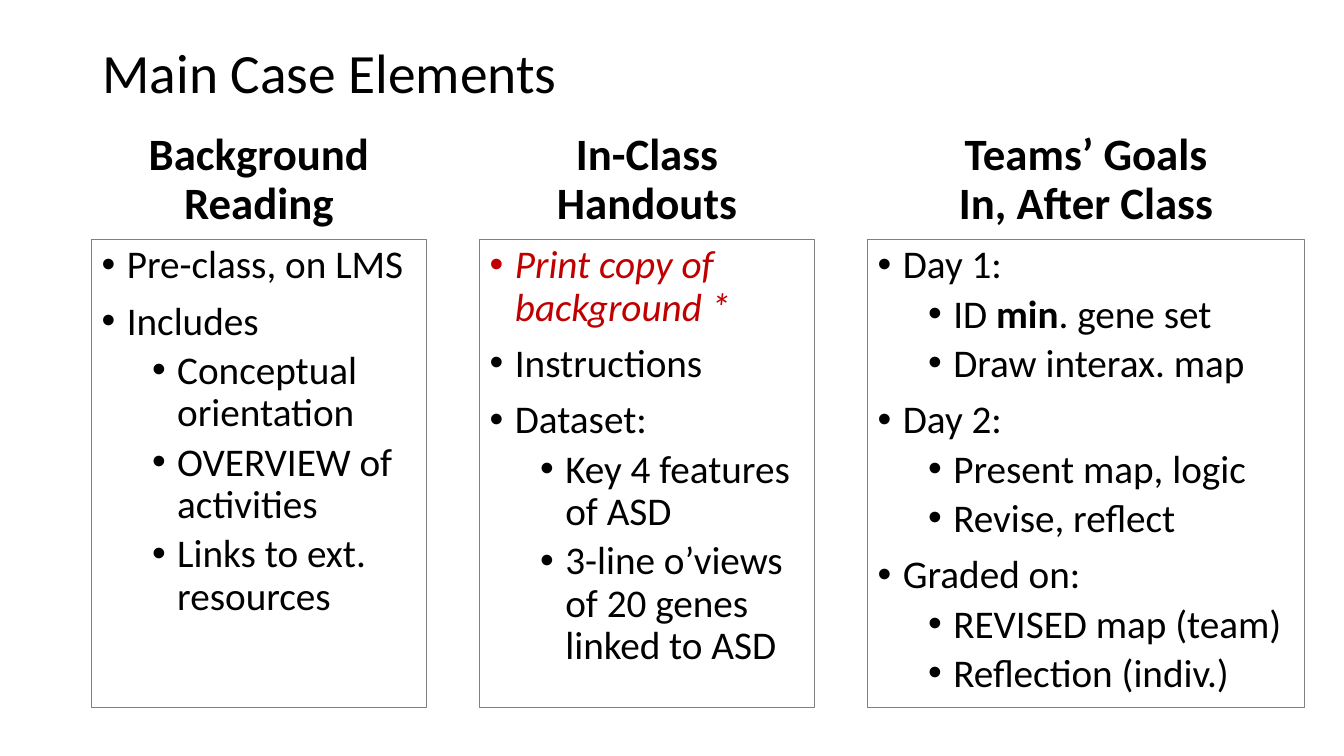
"""Build the slide listing the main elements of a teaching case in three columns."""
from dataclasses import dataclass

from lxml.etree import SubElement
from pptx import Presentation
from pptx.dml.color import RGBColor
from pptx.enum.text import MSO_ANCHOR as Anchor, MSO_AUTO_SIZE as AutoSize, PP_ALIGN as Align
from pptx.oxml.ns import qn
from pptx.util import Pt

BLACK = RGBColor(0x00, 0x00, 0x00)
WHITE = RGBColor(0xFF, 0xFF, 0xFF)
RED = RGBColor(0xC0, 0x00, 0x00)
GRAY = RGBColor(0x80, 0x80, 0x80)

COLUMN_LEFT, COLUMN_PITCH = 65.5, 277.2
HEADING_TOP, HEADING_HEIGHT = 90, 77
LIST_TOP, LIST_HEIGHT = 171.4, 334
INDENT_STEP, BULLET_HANG = 36, 18
SPACE_BEFORE = (10, 5)


@dataclass(frozen=True)
class Span:
    text: str
    bold: bool = False
    italic: bool = False
    color: RGBColor = BLACK


@dataclass(frozen=True)
class Item:
    spans: tuple[Span, ...]
    level: int = 0


@dataclass(frozen=True)
class Column:
    heading: tuple[str, ...]
    width: float
    items: tuple[Item, ...]


def topic(text: str) -> Item:
    return Item((Span(text),))


def detail(text: str) -> Item:
    return Item((Span(text),), 1)


COLUMNS = (
    Column(("Background Reading",), 239, (
        topic("Pre-class, on LMS"),
        topic("Includes"),
        detail("Conceptual orientation"),
        detail("OVERVIEW of activities"),
        detail("Links to ext. resources"),
    )),
    Column(("In-Class", "Handouts"), 239, (
        Item((Span("Print copy of background *", italic=True, color=RED),)),
        topic("Instructions"),
        topic("Dataset:"),
        detail("Key 4 features of ASD"),
        detail("3-line o’views of 20 genes linked to ASD"),
    )),
    Column(("Teams’ Goals", "In, After Class"), 311.8, (
        topic("Day 1:"),
        Item((Span("ID "), Span("min", bold=True), Span(". gene set")), 1),
        detail("Draw interax. map"),
        topic("Day 2:"),
        detail("Present map, logic"),
        detail("Revise, reflect"),
        topic("Graded on:"),
        detail("REVISED map (team)"),
        detail("Reflection (indiv.)"),
    )),
)


def add_span(para, span: Span, size: float) -> None:
    font_format = {"name": "Calibri", "size": Pt(size), "bold": span.bold, "italic": span.italic}
    run = para.add_run()
    run.text = span.text
    for name, value in font_format.items():
        setattr(run.font, name, value)
    run.font.color.rgb = span.color


def format_frame(frame, anchor: Anchor) -> None:
    frame_format = {"word_wrap": True, "auto_size": AutoSize.NONE, "vertical_anchor": anchor}
    for name, value in frame_format.items():
        setattr(frame, name, value)


def add_title(page, text: str) -> None:
    title = page.shapes.title
    place = {"left": Pt(66), "top": Pt(28.8), "width": Pt(828), "height": Pt(49.7)}
    for name, value in place.items():
        setattr(title, name, value)
    title.fill.solid()
    title.fill.fore_color.rgb = WHITE
    format_frame(title.text_frame, Anchor.MIDDLE)
    para = title.text_frame.paragraphs[0]
    para.alignment, para.line_spacing = Align.LEFT, 0.9
    add_span(para, Span(text), 39.6)


def add_box(page, left: float, top: float, width: float, height: float, anchor: Anchor):
    box = page.shapes.add_textbox(Pt(left), Pt(top), Pt(width), Pt(height))
    format_frame(box.text_frame, anchor)
    return box


def add_heading(page, left: float, column: Column) -> None:
    box = add_box(page, left, HEADING_TOP, column.width, HEADING_HEIGHT, Anchor.BOTTOM)
    para = box.text_frame.paragraphs[0]
    para.alignment, para.line_spacing = Align.CENTER, 0.9
    for index, line in enumerate(column.heading):
        if index:
            para.add_line_break()
        add_span(para, Span(line, bold=True), 32)


def add_bullet(para, level: int) -> None:
    properties = para._p.get_or_add_pPr()
    properties.set("marL", str(Pt(BULLET_HANG + INDENT_STEP * level)))
    properties.set("indent", str(-Pt(BULLET_HANG)))
    SubElement(properties, qn("a:buFont"), typeface="Arial")
    SubElement(properties, qn("a:buChar"), char="•")


def add_list(page, left: float, column: Column) -> None:
    box = add_box(page, left, LIST_TOP, column.width, LIST_HEIGHT, Anchor.TOP)
    box.line.color.rgb = GRAY
    box.line.width = Pt(0.75)
    frame = box.text_frame
    for index, item in enumerate(column.items):
        para = frame.add_paragraph() if index else frame.paragraphs[0]
        add_bullet(para, item.level)
        para.level, para.line_spacing = item.level, 0.9
        para.space_before = Pt(SPACE_BEFORE[item.level] if index else 0)
        for span in item.spans:
            add_span(para, span, 28)


def main() -> None:
    deck = Presentation()
    deck.slide_width, deck.slide_height = Pt(960), Pt(540)
    page = deck.slides.add_slide(deck.slide_layouts[5])
    add_title(page, "Main Case Elements")
    for index, column in enumerate(COLUMNS):
        left = COLUMN_LEFT + COLUMN_PITCH * index
        add_heading(page, left, column)
        add_list(page, left, column)
    deck.save("out.pptx")


if __name__ == "__main__":
    main()
